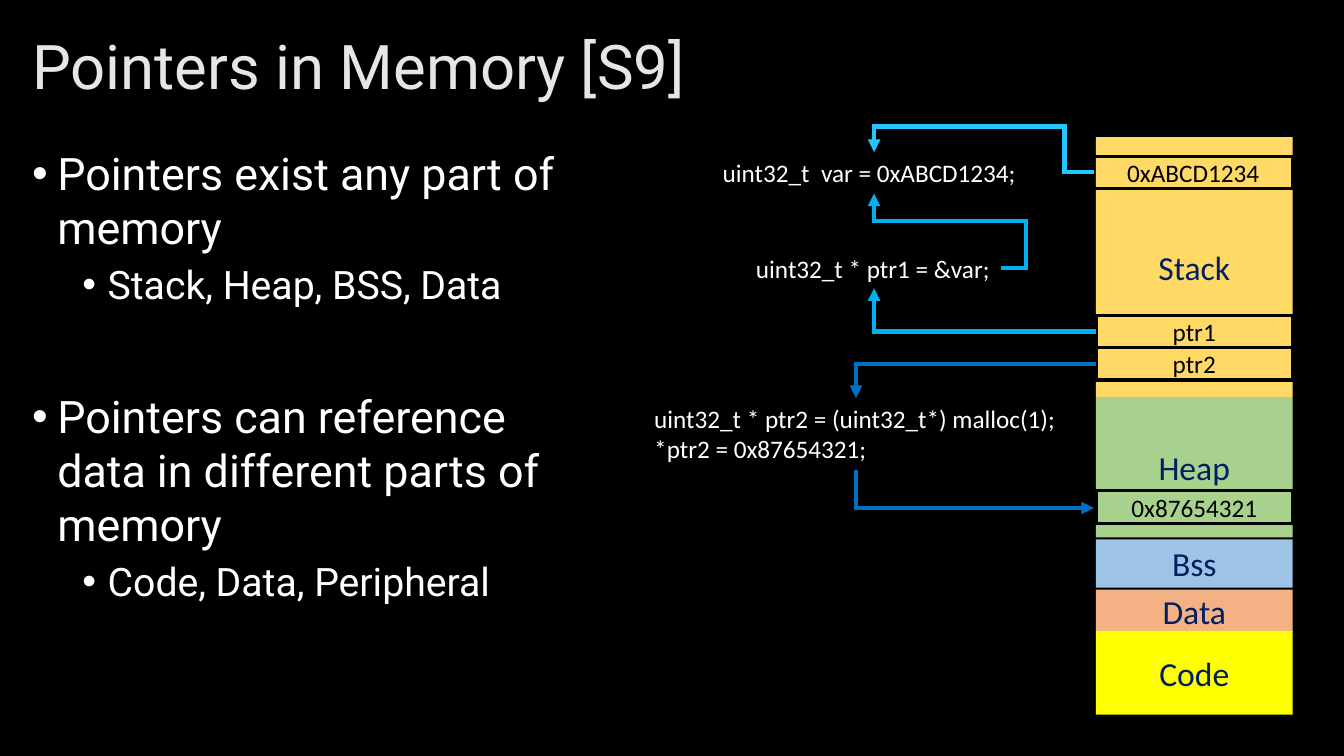
from dataclasses import dataclass

import pptx
import pptx.dml.color
import pptx.enum.shapes
import pptx.enum.text
import pptx.oxml.ns
import pptx.util
from lxml import etree

Inches, Pt = pptx.util.Inches, pptx.util.Pt
MSO_ANCHOR = pptx.enum.text.MSO_ANCHOR
PP_ALIGN = pptx.enum.text.PP_ALIGN
qn = pptx.oxml.ns.qn

MEM_LEFT, MEM_WIDTH = 10.87, 1.95
CELL_HEIGHT = 0.32

TITLE = {"name": "Roboto", "size": Pt(44)}
BODY = {"name": "Roboto", "size": Pt(32)}
SUB_BODY = {"name": "Roboto", "size": Pt(28)}
SEGMENT = {"name": "Calibri", "size": Pt(24)}
CODE = {"name": "Calibri", "size": Pt(18)}


@dataclass
class Segment:
    name: str
    top: float
    height: float
    fill: str


@dataclass
class Cell:
    text: str
    top: float
    left: float = MEM_LEFT
    width: float = MEM_WIDTH


@dataclass
class Snippet:
    lines: list[str]
    left: float
    top: float
    width: float
    height: float
    wrap: bool = True


@dataclass
class Arrow:
    start: tuple[float, float]
    end: tuple[float, float]
    color: str
    bends: int = 2
    adjust: tuple[float, ...] = ()
    rotation: int = 0


@dataclass
class Bullet:
    text: str
    level: int = 0
    before: int = 10


SEGMENTS = [
    Segment("Data", 5.85, 0.42, "F4B183"),
    Segment("Bss", 5.35, 0.48, "9DC3E6"),
    Segment("Stack", 1.36, 2.58, "FFD966"),
    Segment("Heap", 3.94, 1.39, "A9D18E"),
    Segment("Code", 6.26, 0.83, "FFFF00"),
]
CELLS = [
    Cell("0xABCD1234", 1.55, 10.85, 1.97),
    Cell("0x87654321", 4.87),
    Cell("ptr2", 3.45),
    Cell("ptr1", 3.13),
]
SNIPPETS = [
    Snippet(["uint32_t * ptr1 = &var;"], 7.4, 2.46, 2.53, 0.4),
    Snippet(["uint32_t  var = 0xABCD1234;"], 7.07, 1.51, 3.2, 0.4, wrap=False),
    Snippet(["uint32_t * ptr2 = (uint32_t*) malloc(1);", "*ptr2 = 0x87654321;"],
            6.39, 3.95, 4.21, 0.71),
]
ARROWS = [
    Arrow((10.87, 3.61), (8.49, 3.95), "0070C0"),
    Arrow((10.85, 1.71), (8.67, 1.51), "25C6FF", 4, (0.134, 2.266)),
    # Leaves vertically: ends are given before the quarter turn
    Arrow((9.86, 3.67), (9.48, 6.03), "0070C0", rotation=270),
    Arrow((10.87, 3.29), (8.67, 2.86), "00B0F0"),
    Arrow((9.93, 2.66), (8.67, 1.92), "00B0F0", 4, (-0.197, 0.636)),
]
BULLETS = [
    Bullet("Pointers exist any part of memory"),
    Bullet("Stack, Heap, BSS, Data", 1, 5),
    Bullet("Pointers can reference data in different parts of memory", before=58),
    Bullet("Code, Data, Peripheral", 1, 5),
]


def rgb(color: str) -> pptx.dml.color.RGBColor:
    return pptx.dml.color.RGBColor.from_string(color)


def add_run(p, text: str, font: dict, color: str) -> None:
    r = p.add_run()
    r.text = text
    for name, value in font.items():
        setattr(r.font, name, value)
    r.font.color.rgb = rgb(color)


def add_text(s, left: float, top: float, width: float, height: float, **frame):
    sp = s.shapes.add_textbox(*map(Inches, (left, top, width, height)))
    for name, value in ({"word_wrap": True} | frame).items():
        setattr(sp.text_frame, name, value)
    return sp.text_frame


def add_paragraph(tf, index: int):
    return tf.add_paragraph() if index else tf.paragraphs[0]


def add_box(s, box: tuple[float, ...], text: str, font: dict, color: str):
    sp = s.shapes.add_shape(pptx.enum.shapes.MSO_SHAPE.RECTANGLE, *map(Inches, box))
    sp.shadow.inherit = False
    sp.text_frame.vertical_anchor = MSO_ANCHOR.MIDDLE
    p = sp.text_frame.paragraphs[0]
    p.alignment = PP_ALIGN.CENTER
    add_run(p, text, font, color)
    return sp


def add_segment(s, seg: Segment) -> None:
    sp = add_box(s, (MEM_LEFT, seg.top, MEM_WIDTH, seg.height), seg.name, SEGMENT, "002060")
    sp.fill.solid()
    sp.fill.fore_color.rgb = rgb(seg.fill)
    sp.line.fill.background()


def add_cell(s, cell: Cell) -> None:
    sp = add_box(s, (cell.left, cell.top, cell.width, CELL_HEIGHT), cell.text, CODE, "000000")
    sp.fill.background()
    sp.line.color.rgb = rgb("000000")
    sp.line.width = Pt(2.25)


def add_snippet(s, snip: Snippet) -> None:
    tf = add_text(s, snip.left, snip.top, snip.width, snip.height, word_wrap=snip.wrap,
                  auto_size=pptx.enum.text.MSO_AUTO_SIZE.SHAPE_TO_FIT_TEXT)
    for i, line in enumerate(snip.lines):
        add_run(add_paragraph(tf, i), line, CODE, "FFFFFF")


def add_bullet(p, bullet: Bullet) -> None:
    p.level = bullet.level
    p.space_before = Pt(bullet.before)
    pPr = p._p.get_or_add_pPr()
    pPr.set("marL", str(Inches(0.25 + 0.5 * bullet.level)))
    pPr.set("indent", str(Inches(-0.25)))
    etree.SubElement(pPr, qn("a:buFont"), typeface="Arial")
    etree.SubElement(pPr, qn("a:buChar"), char="•")
    add_run(p, bullet.text, SUB_BODY if bullet.level else BODY, "FFFFFF")


def add_arrow(s, arrow: Arrow) -> None:
    sp = s.shapes.add_connector(pptx.enum.shapes.MSO_CONNECTOR.ELBOW,
                                *map(Inches, arrow.start + arrow.end))
    sp.line.color.rgb = rgb(arrow.color)
    sp.line.width = Pt(3)
    spPr = sp._element.spPr
    if arrow.rotation:
        spPr.find(qn("a:xfrm")).set("rot", str(arrow.rotation * 60000))
    geom = spPr.find(qn("a:prstGeom"))
    geom.set("prst", f"bentConnector{arrow.bends}")
    for i, value in enumerate(arrow.adjust, 1):
        etree.SubElement(geom.find(qn("a:avLst")), qn("a:gd"),
                         name=f"adj{i}", fmla=f"val {round(value * 100000)}")
    ln = spPr.find(qn("a:ln"))
    etree.SubElement(ln, qn("a:miter"), lim="800000")
    etree.SubElement(ln, qn("a:tailEnd"), type="triangle")
    etree.SubElement(spPr, qn("a:effectLst"))


def main() -> None:
    prs = pptx.Presentation()
    prs.slide_width, prs.slide_height = Inches(13.33), Inches(7.5)
    s = prs.slides.add_slide(prs.slide_layouts[6])
    s.background.fill.solid()
    s.background.fill.fore_color.rgb = rgb("000000")

    # Title
    p = add_text(s, 0.22, 0.21, 12.89, 0.97, vertical_anchor=MSO_ANCHOR.MIDDLE).paragraphs[0]
    p.line_spacing = 0.9
    add_run(p, "Pointers in Memory [S9]", TITLE, "E7E6E6")

    # Bullets
    tf = add_text(s, 0.22, 1.4, 5.84, 5.28)
    for i, bullet in enumerate(BULLETS):
        add_bullet(add_paragraph(tf, i), bullet)

    # Memory map, code and pointers
    for draw, items in ((add_segment, SEGMENTS), (add_cell, CELLS),
                        (add_snippet, SNIPPETS), (add_arrow, ARROWS)):
        for item in items:
            draw(s, item)

    prs.save("out.pptx")


if __name__ == "__main__":
    main()
